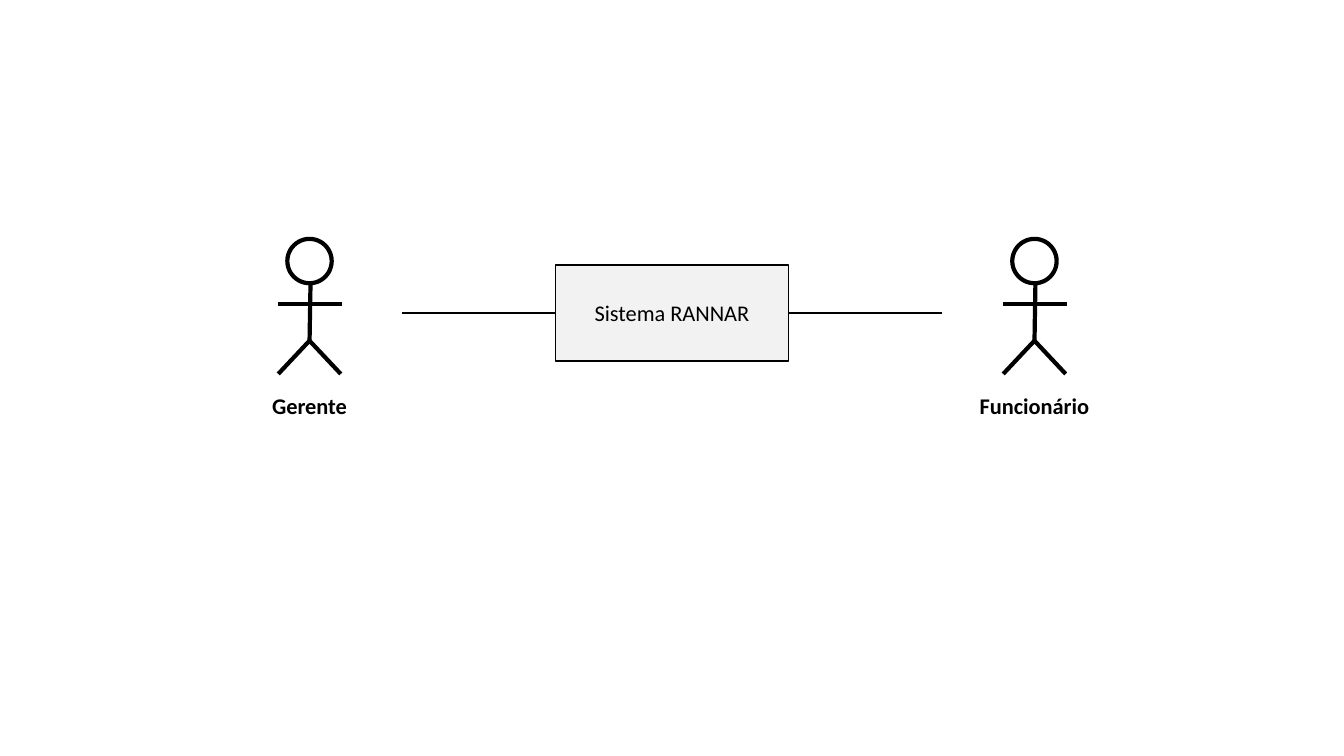
from dataclasses import dataclass
from lxml.etree import SubElement
from pptx import Presentation
from pptx.dml.color import RGBColor
from pptx.enum.shapes import MSO_CONNECTOR as Conn, MSO_SHAPE as Shape
from pptx.enum.text import MSO_ANCHOR as Anchor, PP_ALIGN as Align
from pptx.oxml.ns import qn
from pptx.util import Inches, Pt


@dataclass(frozen=True)
class Theme:
    ink: RGBColor = RGBColor(0, 0, 0)
    box: RGBColor = RGBColor(0xF2, 0xF2, 0xF2)
    font: str = "Calibri"
    size: int = 16
    thin: float = 1
    thick: float = 3


SYSTEM = "Sistema RANNAR"
ACTORS = [("Gerente", 3.07, 0.95), ("Funcionário", 10.26, 1.3)]
LIMBS = [
    ((0.01, 0.43), (0, 1.04)),
    ((-0.31, 0.65), (0.32, 0.65)),
    ((-0.31, 1.34), (0, 1.01)),
    ((0, 1.01), (0.31, 1.34)),
]
HEAD, TOP, LABEL_TOP, LABEL_H = 0.44, 2.37, 3.84, 0.37
BOX_X, BOX_Y, BOX_W, BOX_H = 5.51, 2.63, 2.31, 0.95
LINK = 1.52

theme = Theme()
prs = Presentation()
prs.slide_width, prs.slide_height = Inches(13.33), Inches(7.5)
s = prs.slides.add_slide(prs.slide_layouts[6])


def add_text(sp, text, bold=False, wrap=True, anchor=Anchor.MIDDLE):
    tf = sp.text_frame
    tf.word_wrap = wrap
    tf.vertical_anchor = anchor
    p = tf.paragraphs[0]
    p.alignment = Align.CENTER
    r = p.add_run()
    r.text = text
    r.font.name, r.font.size, r.font.bold = theme.font, Pt(theme.size), bold
    r.font.color.rgb = theme.ink


def add_outline(sp, width):
    sp.line.color.rgb = theme.ink
    sp.line.width = Pt(width)


def add_line(x1, y1, x2, y2, width):
    c = s.shapes.add_connector(Conn.STRAIGHT, *map(Inches, (x1, y1, x2, y2)))
    add_outline(c, width)
    SubElement(c._element.spPr, qn("a:effectLst"))


def add_shape(kind, x, y, w, h, width, fill=None):
    sp = s.shapes.add_shape(kind, *map(Inches, (x, y, w, h)))
    sp.shadow.inherit = False
    if fill is None:
        sp.fill.background()
    else:
        sp.fill.solid()
        sp.fill.fore_color.rgb = fill
    add_outline(sp, width)
    return sp


def add_actor(name, x, label_w):
    add_shape(Shape.OVAL, x - HEAD / 2, TOP, HEAD, HEAD, theme.thick)
    for (dx1, dy1), (dx2, dy2) in LIMBS:
        add_line(x + dx1, TOP + dy1, x + dx2, TOP + dy2, theme.thick)
    label = s.shapes.add_textbox(
        *map(Inches, (x - label_w / 2, LABEL_TOP, label_w, LABEL_H)))
    add_text(label, name, bold=True, wrap=False, anchor=Anchor.TOP)


for actor in ACTORS:
    add_actor(*actor)

system = add_shape(Shape.RECTANGLE, BOX_X, BOX_Y, BOX_W, BOX_H, theme.thin, theme.box)
add_text(system, SYSTEM)
mid = BOX_Y + BOX_H / 2
for edge, direction in ((BOX_X, -1), (BOX_X + BOX_W, 1)):
    add_line(edge, mid, edge + direction * LINK, mid, theme.thin)

prs.save("out.pptx")
